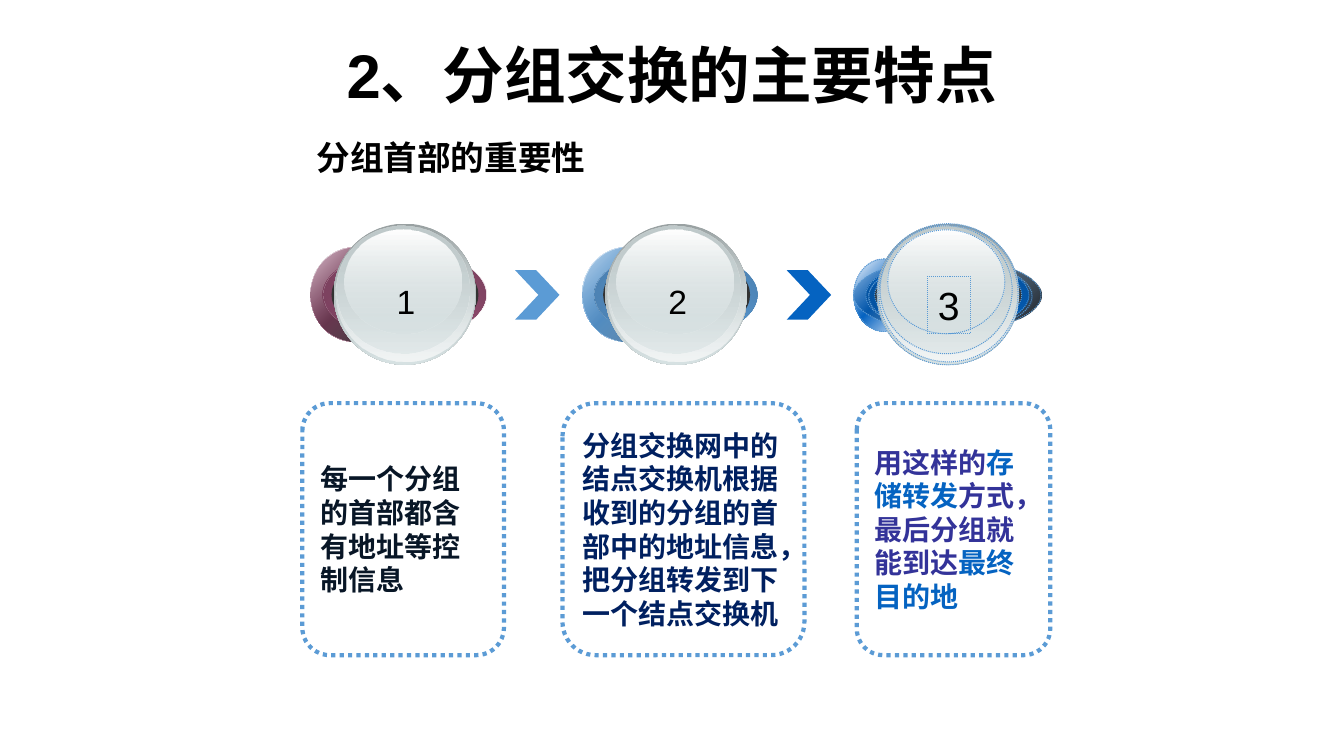
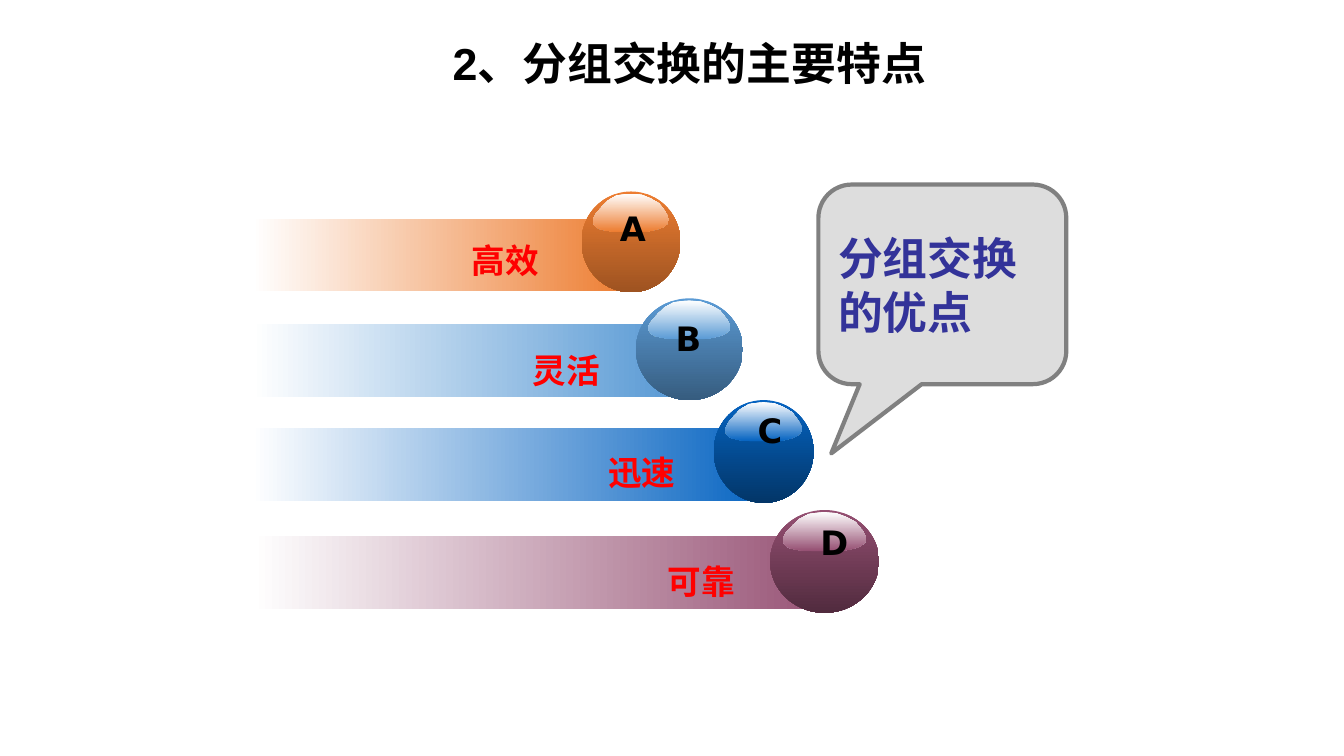
from dataclasses import dataclass

from lxml.etree import SubElement
from pptx import Presentation
from pptx.dml.color import RGBColor
from pptx.enum.dml import MSO_LINE
from pptx.enum.shapes import MSO_SHAPE as Preset
from pptx.enum.text import MSO_ANCHOR as Anchor, MSO_AUTO_SIZE as AutoSize, PP_ALIGN as Align
from pptx.oxml.ns import qn
from pptx.util import Pt


@dataclass(frozen=True)
class Theme:
    # Colours
    black: str = "000000"
    white: str = "FFFFFF"
    sky: str = "5B9BD5"
    blue: str = "0563C1"
    plum: str = "954F72"
    orange: str = "ED7D31"
    indigo: str = "333399"
    ink: str = "081626"
    navy: str = "002060"
    red: str = "FF0000"
    core: str = "333333"
    glass: str = "D6E1E2"
    callout: str = "DDDDDD"
    callout_line: str = "808080"
    # Fonts
    heading_font: str = "Arial"
    body_font: str = "Calibri"
    letter_font: str = "DejaVu Sans"
    # Type sizes
    title: int = 44
    subtitle: int = 32
    label: int = 24
    large_number: int = 28
    body: int = 20


THEME = Theme()
TITLE = "2、分组交换的主要特点"

# Glass disc layers: left offset, top, width, height, gradient stops (position, colour, opacity)
DISC_LAYERS = [
    (16.6, 159.8, 101.5, 100.8, [(0, "99A1A2", 100), (100, THEME.glass, 100)]),
    (18, 160.6, 99.4, 97.9, [(0, THEME.glass, 0), (100, "F2F5F5", 100)]),
    (18.9, 161.3, 94.3, 91.4, [(0, "C1CBCC", 100), (100, THEME.glass, 48)]),
    (24.3, 164.2, 83.6, 74.2, [(0, THEME.white, 100), (100, THEME.glass, 38)]),
]
# Side layers behind a disc: left offset, top, width, height
ROUND_SIDES = [(0, 176.6, 63.4, 67.7), (0, 176.6, 63.4, 67.7), (8.6, 179.3, 116.6, 62.6),
               (9, 179.3, 116.6, 62.6), (15, 180.7, 105, 59.8)]
FLAT_SIDES = [(0, 185, 43.2, 51.8), (0, 185, 133.9, 51.8), (8.6, 185.8, 116.6, 50.4),
              (10.8, 186.5, 116.6, 50.4), (15, 185.8, 105, 49.7)]
# Outline of the highlight on a sphere, in percent of its box
GLOSS = [(98, 58), (100, 68), (98, 79), (93, 87), (87, 92), (77, 97), (68, 100), (60, 100),
         (36, 100), (26, 99), (18, 97), (8, 92), (4, 87), (1, 79), (0, 68), (4, 53), (12, 34),
         (20, 18), (31, 5), (44, 1), (50, 0), (64, 3), (76, 13), (87, 26), (95, 47)]


class Deck:
    """Holds the style and the current slide."""

    def __init__(self, theme):
        self.theme = theme
        self.presentation = Presentation()
        self.presentation.slide_width = Pt(960)
        self.presentation.slide_height = Pt(540)
        self.slide = None

    def add_slide(self, title, box, size):
        self.slide = self.presentation.slides.add_slide(self.presentation.slide_layouts[5])
        shape = self.slide.shapes.title
        shape.left, shape.top, shape.width, shape.height = map(Pt, box)
        frame = self.set_text(shape, [(title, self.theme.black)], size, self.theme.heading_font,
                              align=Align.CENTER)
        frame.auto_size = AutoSize.NONE
        frame.paragraphs[0].line_spacing = 0.9

    def set_text(self, shape, parts, size, font, bold=True, align=Align.LEFT,
                 anchor=Anchor.TOP, wrap=True):
        frame = shape.text_frame
        frame.word_wrap = wrap
        frame.vertical_anchor = anchor
        paragraph = frame.paragraphs[0]
        paragraph.alignment = align
        for text, color in parts:
            run = paragraph.add_run()
            run.text = text
            run.font.name, run.font.size, run.font.bold = font, Pt(size), bold
            run.font.color.rgb = RGBColor.from_string(color)
        return frame

    def paint(self, shape, fill=None, angle=0, line=None, weight=0.75, dotted=True):
        """Fill is a colour, a list of gradient stops or None."""
        shape.shadow.inherit = False
        if fill is None:
            shape.fill.background()
        elif isinstance(fill, str):
            shape.fill.solid()
            shape.fill.fore_color.rgb = RGBColor.from_string(fill)
        else:
            shape.fill.gradient()
            shape.fill.gradient_angle = -angle % 360
            stops = next(shape._element.iter(qn("a:gsLst")))
            for stop in list(stops):
                stops.remove(stop)
            for position, color, opacity in fill:
                stop = SubElement(stops, qn("a:gs"), pos=str(position * 1000))
                value = SubElement(stop, qn("a:srgbClr"), val=color)
                if opacity < 100:
                    SubElement(value, qn("a:alpha"), val=str(opacity * 1000))
        if line is None:
            shape.line.fill.background()
        else:
            shape.line.color.rgb = RGBColor.from_string(line)
            shape.line.width = Pt(weight)
            if dotted:
                shape.line.dash_style = MSO_LINE.ROUND_DOT
        return shape

    def shape(self, preset, box, adjustments=(), **paint):
        shape = self.slide.shapes.add_shape(preset, *map(Pt, box))
        for index, value in enumerate(adjustments):
            shape.adjustments[index] = value
        return self.paint(shape, **paint)

    def text(self, box, text, color, size, font, line=None, **style):
        shape = self.slide.shapes.add_textbox(*map(Pt, box))
        frame = self.set_text(shape, [(text, color)], size, font, **style)
        frame.auto_size = AutoSize.SHAPE_TO_FIT_TEXT
        if line:
            self.paint(shape, line=line)

    def card(self, left, width, parts):
        shape = self.shape(Preset.ROUNDED_RECTANGLE, (left, 288, width, 180), [0.137],
                           line=self.theme.sky, weight=3)
        self.set_text(shape, parts, self.theme.body, self.theme.body_font, anchor=Anchor.MIDDLE)

    def badge(self, left, number, color, shade, edge, tint, sides, size, line=None):
        theme = self.theme
        white = theme.white
        fills = [
            ([(0, white, 100), (50, color, 100), (100, white, 100)], 45),
            ([(0, color, 32), (100, *shade)], 45),
            ([(0, edge, 100), (50, color, 100), (100, edge, 100)], 315),
            ([(0, tint, 100), (100, color, 0)], 45),
            (theme.core, 0),
        ]
        layers = [(box, *fill) for box, fill in zip(sides, fills)]
        layers += [(box, stops, 90) for *box, stops in DISC_LAYERS]
        for (offset, *rest), fill, angle in layers:
            self.shape(Preset.OVAL, (left + offset, *rest), fill=fill, angle=angle, line=line)
        width = size + 3
        self.text((left + 68 - width / 2, 197.3, width, size * 1.2 + 7.2), number, theme.black,
                  size, theme.heading_font, line, bold=False, align=Align.CENTER, wrap=False)

    def sphere(self, box, color, shade):
        left, top, width, height = box
        self.shape(Preset.OVAL, box, fill=[(0, color, 100), (100, shade, 100)], angle=90)
        scale = (Pt(width * 0.77) / 100, Pt(height * 0.38) / 100)
        builder = self.slide.shapes.build_freeform(*GLOSS[0], scale=scale)
        builder.add_line_segments(GLOSS[1:], close=True)
        gloss = builder.convert_to_shape(Pt(left + width * 0.115), Pt(top + height * 0.02))
        self.paint(gloss, [(0, self.theme.white, 100), (100, color, 100)], 90)

    def bar(self, top, width, color):
        self.shape(Preset.RECTANGLE, (180, top, width, 52),
                   fill=[(0, self.theme.white, 100), (100, color, 100)])


def build_header_slide(deck):
    theme = deck.theme
    deck.add_slide(TITLE, (66, 28.8, 828, 104.4), theme.title)
    deck.text((219, 94.3, 206.6, 36), "分组首部的重要性", theme.black, theme.label,
              theme.body_font, wrap=False)

    # Text cards
    deck.card(216, 144, [("每一个分组的首部都含有地址等控制信息", theme.ink)])
    deck.card(401.8, 172.8, [
        ("分组交换网中的结点交换机根据收到的分组的首部中的地址信息，把分组转发到下一个结点交换机",
         theme.navy)])
    deck.card(612, 138.2, [
        ("用这样的", theme.indigo), ("存储转发", theme.blue),
        ("方式，最后分组就能到达", theme.indigo), ("最终目的地", theme.blue)])

    # Numbered badges with chevrons between them
    pitch = 194
    for index, color in enumerate((theme.sky, theme.blue)):
        deck.shape(Preset.CHEVRON, (368 + pitch * index, 193, 31.7, 35.3), [0.525], fill=color)
    badges = [
        (theme.plum, (theme.black, 90), "723C57", "7A415E", ROUND_SIDES, theme.label),
        (theme.sky, ("416F98", 100), "4677A3", "4B7FAF", ROUND_SIDES, theme.label),
        (theme.blue, (theme.black, 90), "044C94", "04519E", FLAT_SIDES, theme.large_number,
         theme.sky),
    ]
    for index, badge in enumerate(badges):
        deck.badge(221.8 + pitch * index, str(index + 1), *badge)


def build_advantages_slide(deck):
    theme = deck.theme
    deck.add_slide(TITLE, (169.2, 25.9, 646.6, 73.4), theme.subtitle)

    # Bars: letter, colour, shade, bar top and width, sphere, letter place, label and its place
    rows = [
        ("A", theme.orange, "9E5321", 156.2, 270.7, (415.4, 136.8, 70.6, 72), (435.6, 144.7),
         "高效", (198, 167.8, 194)),
        ("B", theme.sky, "365C7F", 231.8, 298.8, (454.3, 213.1, 76.3, 72.7), (475.2, 223.2),
         "灵活", (246, 246.2, 189.5)),
        ("C", theme.blue, "033668", 306, 370.8, (509.8, 285.8, 71.3, 73.4), (533.5, 289.4),
         "迅速", (264, 319, 225.5)),
        ("D", theme.plum, "512B3E", 383, 420.5, (550.1, 364.3, 77.8, 73.4), (578.9, 369.4),
         "可靠", (306, 397.4, 226)),
    ]
    for letter, color, shade, top, width, sphere, place, label, label_place in rows:
        deck.bar(top, width, color)
        deck.sphere(sphere, color, shade)
        deck.text((*place, 33, 36), letter, theme.black, theme.label, theme.letter_font,
                  align=Align.CENTER, wrap=False)
        deck.text((*label_place, 36), label, theme.red, theme.label, theme.body_font,
                  align=Align.RIGHT)

    # Callout
    callout = deck.shape(Preset.ROUNDED_RECTANGULAR_CALLOUT, (584.6, 131.8, 177.1, 142.6),
                         [-0.448, 0.847, 0.167], fill=theme.callout, line=theme.callout_line,
                         weight=3, dotted=False)
    deck.set_text(callout, [("分组交换的优点", theme.indigo)], theme.subtitle, theme.body_font,
                  anchor=Anchor.MIDDLE)


def main():
    deck = Deck(THEME)
    build_header_slide(deck)
    build_advantages_slide(deck)
    deck.presentation.save("out.pptx")


if __name__ == "__main__":
    main()
